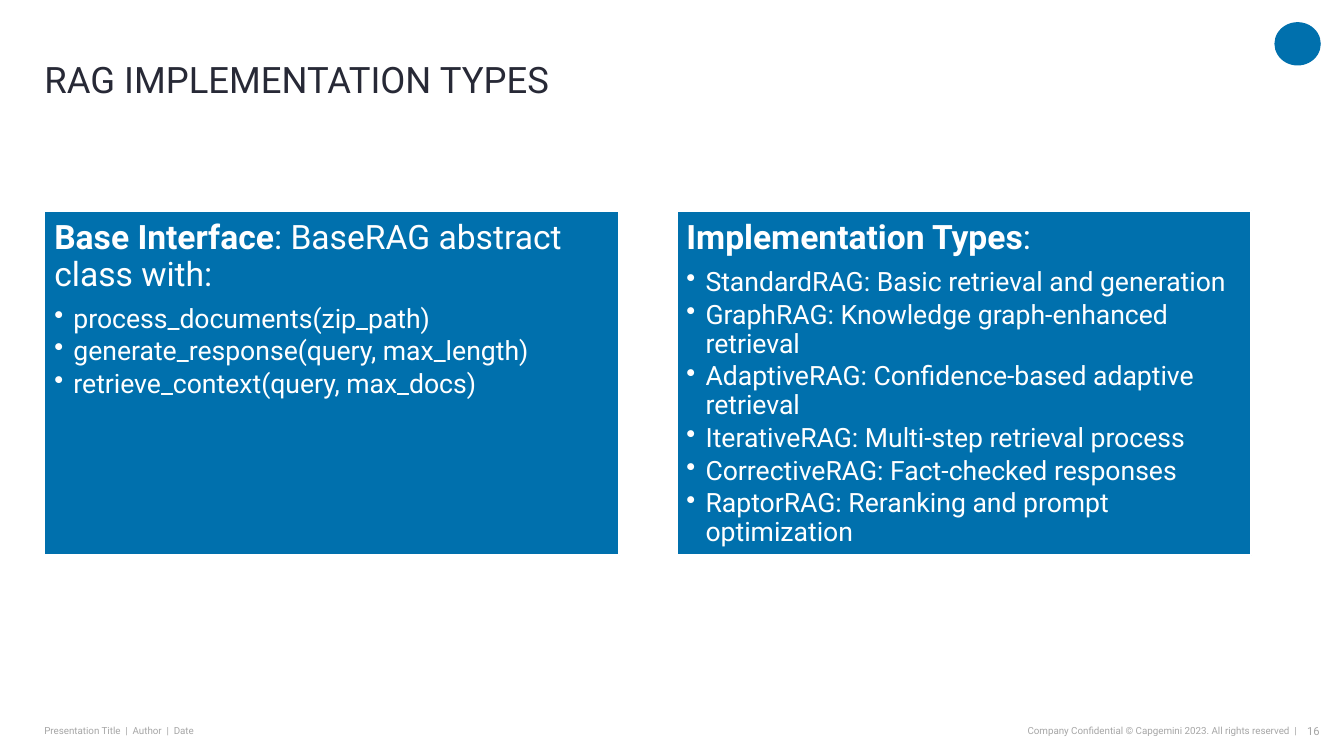
from lxml import etree
from pptx import Presentation
from pptx import util as u
from pptx.dml.color import RGBColor
from pptx.enum import shapes, text
from pptx.oxml import ns

COLORS = {"panel": "0070AD", "white": "FFFFFF", "title": "272936", "footer": "A6A6A6"}
FONT = "Roboto"
LEFT, COL, PITCH = 0.44, 5.7, 6.27
PANEL_TOP, PANEL_H = 2.09, 3.42
FOOT_TOP, FOOT_H = 7.13, 0.24
INDENT = 0.19
HEADING = {"line_spacing": 0.9, "space_after": u.Pt(8.4)}
BULLET = {"line_spacing": 0.9, "space_after": u.Pt(2.85), "level": 1}

PANELS = [
    ("Base Interface", ": BaseRAG abstract class with:", [
        "process_documents(zip_path)",
        "generate_response(query, max_length)",
        "retrieve_context(query, max_docs)",
    ]),
    ("Implementation Types", ":", [
        "StandardRAG: Basic retrieval and generation",
        "GraphRAG: Knowledge graph-enhanced retrieval",
        "AdaptiveRAG: Confidence-based adaptive retrieval",
        "IterativeRAG: Multi-step retrieval process",
        "CorrectiveRAG: Fact-checked responses",
        "RaptorRAG: Reranking and prompt optimization",
    ]),
]


def rgb(name):
    return RGBColor.from_string(COLORS[name])


def apply(target, values):
    for name, value in values.items():
        setattr(target, name, value)


def frame(sp, inset, anchor):
    tf = sp.text_frame
    apply(tf, {"word_wrap": True, "vertical_anchor": anchor})
    for side in ("left", "right", "top", "bottom"):
        setattr(tf, f"margin_{side}", u.Inches(inset))
    return tf


def add_run(p, words, size, color, bold=False):
    r = p.add_run()
    r.text = words
    apply(r.font, {"name": FONT, "size": u.Pt(size), "bold": bold})
    r.font.color.rgb = rgb(color)


def add_bullet(p):
    pPr = p._p.get_or_add_pPr()
    pPr.set("marL", str(u.Inches(INDENT)))
    pPr.set("indent", str(-u.Inches(INDENT)))
    etree.SubElement(pPr, ns.qn("a:buChar"), char="•")


def add_label(s, box, words, size, color, align=text.PP_ALIGN.LEFT, spacing=1.0):
    sp = s.shapes.add_textbox(*map(u.Inches, box))
    p = frame(sp, 0, text.MSO_ANCHOR.MIDDLE).paragraphs[0]
    apply(p, {"alignment": align, "line_spacing": spacing})
    add_run(p, words, size, color)


def add_shape(s, kind, box):
    sp = s.shapes.add_shape(kind, *map(u.Inches, box))
    sp.shadow.inherit = False
    sp.fill.solid()
    sp.fill.fore_color.rgb = rgb("panel")
    return sp


def add_panel(s, column, heading, rest, items):
    box = (LEFT + column * PITCH, PANEL_TOP, COL, PANEL_H)
    sp = add_shape(s, shapes.MSO_SHAPE.RECTANGLE, box)
    sp.line.color.rgb = rgb("white")
    sp.line.width = u.Pt(1.5)
    tf = frame(sp, 0.1, text.MSO_ANCHOR.TOP)
    p = tf.paragraphs[0]
    apply(p, {"alignment": text.PP_ALIGN.LEFT, **HEADING})
    add_run(p, heading, 24, "white", True)
    add_run(p, rest, 24, "white")
    for item in items:
        p = tf.add_paragraph()
        add_bullet(p)
        apply(p, {"alignment": text.PP_ALIGN.LEFT, **BULLET})
        add_run(p, item, 19, "white")


def main():
    prs = Presentation()
    prs.slide_width, prs.slide_height = u.Inches(13.33), u.Inches(7.5)
    s = prs.slides.add_slide(prs.slide_layouts[6])
    right = text.PP_ALIGN.RIGHT

    mark = add_shape(s, shapes.MSO_SHAPE.OVAL, (12.64, 0.22, 0.46, 0.43))
    mark.line.fill.background()
    add_label(s, (LEFT, 0.42, PITCH + COL, 0.78), "RAG IMPLEMENTATION TYPES",
              26, "title", spacing=0.9)
    for column, panel in enumerate(PANELS):
        add_panel(s, column, *panel)
    add_label(s, (LEFT, FOOT_TOP, 3.73, FOOT_H),
              "Presentation Title  |  Author  |  Date", 7, "footer")
    add_label(s, (7.9, FOOT_TOP, 4.96, FOOT_H),
              "Company Confidential © Capgemini 2023. All rights reserved  |",
              7, "footer", right)
    add_label(s, (12.84, FOOT_TOP, 0.25, FOOT_H), "16", 8, "footer", right)
    prs.save("out.pptx")


if __name__ == "__main__":
    main()
